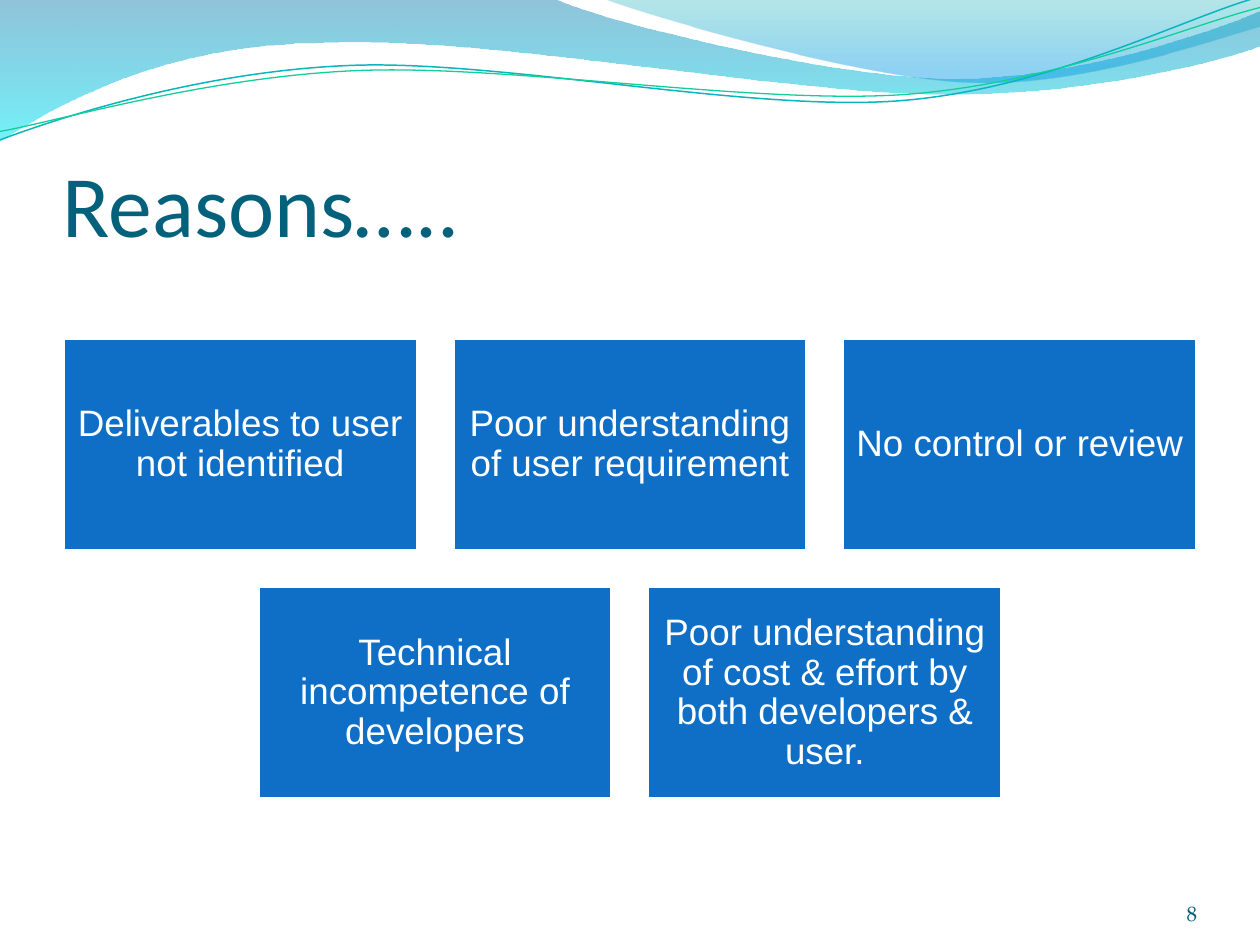
from lxml import etree
from pptx import Presentation
from pptx.dml.color import RGBColor
from pptx.enum.shapes import MSO_SHAPE as Shape
from pptx.enum.text import MSO_ANCHOR as Anchor, PP_ALIGN as Align
from pptx.oxml.ns import qn
from pptx.util import Pt

# Each outline is a start point, then segments: one point is a line, three are a Bézier curve.
WAVE_FILLS = [
    {
        "start": (0, -0.7),
        "segments": [
            [(317, -0.7)],
            [(343, 12), (478, 45), (546, 45)],
            [(614, 45), (690, 19), (720, 6.5)],
            [(721, 26)],
            [(708, 32), (626, 55), (537, 54)],
            [(448, 54), (275, 20), (185, 24.5)],
            [(93, 25), (33, 60), (-0.7, 81)],
        ],
        "stops": [(0, "0079AD", 44), (100, "00E9F7", 55)],
    },
    {
        "start": (345, -0.7),
        "segments": [
            [(366.5, 8), (491, 44.6), (553.7, 46.8)],
            [(616, 49.7), (692, 23), (720, 15)],
            [(720, 0)],
        ],
        "stops": [(0, "00ABB4", 29), (80, "0099E4", 44), (100, "0099E4", 44)],
    },
]
WAVE_LINES = [
    {
        "start": (-1.4, 63),
        "segments": [
            [(33.7, 51.7), (114.3, 29.4), (199.8, 29.9)],
            [(284.9, 30.3), (425.8, 67.2), (512.4, 64.9)],
            [(599, 62.3), (676.1, 25.7), (720.2, 15.5)],
        ],
        "color": "09B6BE",
        "width": 0.85,
    },
    {
        "start": (-1.1, 58.1),
        "segments": [
            [(33, 53.7), (118.2, 32.6), (204.1, 33)],
            [(290.4, 33.4), (429.1, 63.1), (515.3, 61.4)],
            [(601.4, 59.4), (678.5, 30), (721.4, 21.3)],
        ],
        "color": "10CF9B",
        "width": 0.75,
    },
]
WAVE_LINE_ROTATION = 357.3
REASON_ROWS = [
    [
        "Deliverables to user not identified",
        "Poor understanding of user requirement",
        "No control or review",
    ],
    [
        "Technical incompetence of developers",
        "Poor understanding of cost & effort by both developers & user.",
    ],
]


def rgb(value):
    return RGBColor.from_string(value)


def add_outline(slide, left, top, wave, close):
    """Draw every point as a line, then join each group of three into a Bézier curve."""
    segments = wave["segments"]
    start, *points = [
        (Pt(left + x), Pt(top + y))
        for x, y in [wave["start"], *(point for segment in segments for point in segment)]
    ]
    builder = slide.shapes.build_freeform(*start)
    builder.add_line_segments(points, close=close)
    shape = builder.convert_to_shape()
    shape.shadow.inherit = False
    lines = iter(list(shape.element.iter(qn("a:lnTo"))))
    for segment in segments:
        group = [next(lines) for _ in segment]
        if len(group) == 3:
            curve = etree.Element(qn("a:cubicBezTo"))
            group[0].addprevious(curve)
            for line in group:
                curve.append(line[0])
                line.getparent().remove(line)
    return shape


def set_gradient(shape, stops):
    """Fill from top to bottom with (position, colour, opacity) stops in percent."""
    shape.fill.gradient()
    gradient = shape.element.spPr.find(qn("a:gradFill"))
    for child in list(gradient):
        gradient.remove(child)
    stop_list = etree.SubElement(gradient, qn("a:gsLst"))
    for position, color, opacity in stops:
        stop = etree.SubElement(stop_list, qn("a:gs"), pos=str(position * 1000))
        tint = etree.SubElement(stop, qn("a:srgbClr"), val=color)
        etree.SubElement(tint, qn("a:alpha"), val=str(opacity * 1000))
    etree.SubElement(gradient, qn("a:lin"), ang="5400000", scaled="0")


def set_text(shape, text, font, size, color, margins, anchor, **paragraph_format):
    frame = shape.text_frame
    frame.word_wrap = True
    frame.vertical_anchor = anchor
    for side, margin in zip(("left", "top", "right", "bottom"), margins):
        setattr(frame, f"margin_{side}", Pt(margin))
    paragraph = frame.paragraphs[0]
    for name, value in paragraph_format.items():
        setattr(paragraph, name, value)
    run = paragraph.add_run()
    run.text = text
    for name, value in {"name": font, "size": Pt(size)}.items():
        setattr(run.font, name, value)
    run.font.color.rgb = rgb(color)


def add_wave_header(slide, left, top):
    for wave in WAVE_FILLS:
        shape = add_outline(slide, left, top, wave, close=True)
        set_gradient(shape, wave["stops"])
        shape.line.fill.background()
    for wave in WAVE_LINES:
        shape = add_outline(slide, left, top, wave, close=False)
        shape.rotation = WAVE_LINE_ROTATION
        shape.fill.background()
        shape.line.color.rgb = rgb(wave["color"])
        shape.line.width = Pt(wave["width"])


def add_title(slide, left, top, width, height):
    box = slide.shapes.add_textbox(Pt(left), Pt(top), Pt(width), Pt(height))
    set_text(box, "Reasons…..", "Calibri", 50, "04617B", (0, 3.6, 0, 0), Anchor.BOTTOM)


def add_page_number(slide, left, top, width, height):
    box = slide.shapes.add_textbox(Pt(left), Pt(top), Pt(width), Pt(height))
    set_text(box, "8", "TeX Gyre Pagella", 12, "035C75", (0, 0, 0, 0),
             Anchor.BOTTOM, alignment=Align.RIGHT)


def add_reason_cards(slide, left, top, width, height, gap=20.25):
    """Fill the box with rows of equal cards, each row centred."""
    columns = max(len(row) for row in REASON_ROWS)
    card_width = (width - gap * (columns - 1)) / columns
    card_height = (height - gap * (len(REASON_ROWS) - 1)) / len(REASON_ROWS)
    for row_index, row in enumerate(REASON_ROWS):
        row_width = len(row) * (card_width + gap) - gap
        row_left = left + (width - row_width) / 2
        card_top = top + row_index * (card_height + gap)
        for column, reason in enumerate(row):
            card_left = row_left + column * (card_width + gap)
            card = slide.shapes.add_shape(
                Shape.RECTANGLE, Pt(card_left), Pt(card_top), Pt(card_width), Pt(card_height)
            )
            card.shadow.inherit = False
            card.fill.solid()
            card.fill.fore_color.rgb = rgb("0F6FC6")
            card.line.color.rgb = rgb("FFFFFF")
            card.line.width = Pt(2)
            set_text(card, reason, "Arial", 21, "FFFFFF", (6.3,) * 4, Anchor.MIDDLE,
                     alignment=Align.CENTER, line_spacing=0.9, space_after=Pt(7.35))


def main():
    presentation = Presentation()
    presentation.slide_width, presentation.slide_height = Pt(720), Pt(540)
    slide = presentation.slides.add_slide(presentation.slide_layouts[6])
    add_wave_header(slide, 0, 0)
    add_title(slide, 36, 55.75, 648, 90)
    add_page_number(slide, 624, 500.4, 60, 28.8)
    add_reason_cards(slide, 36, 193.5, 648, 263.25)
    presentation.save("out.pptx")


if __name__ == "__main__":
    main()
